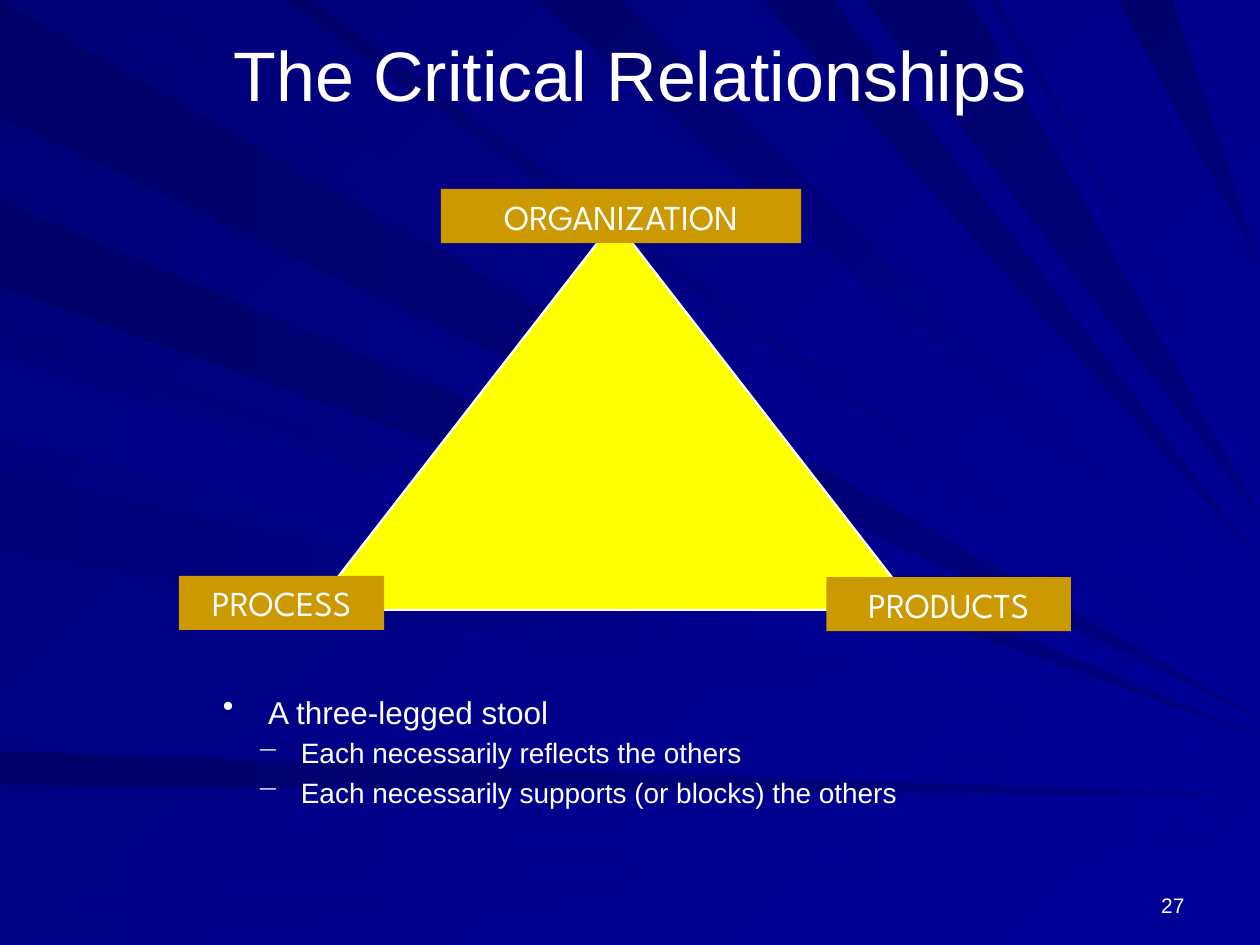
import pptx
import pptx.dml.color
import pptx.enum.shapes
import pptx.enum.text
import pptx.oxml
import pptx.util
from pptx.dml.color import RGBColor
from pptx.util import Inches

WHITE = RGBColor.from_string("FFFFFF")
YELLOW = RGBColor.from_string("FFFF00")
GOLD = RGBColor.from_string("CC9900")
BLUE = RGBColor.from_string("000099")
NAVY = RGBColor.from_string("000080")
DEEP = RGBColor.from_string("000078")
DARK = RGBColor.from_string("00006B")
SOFT = RGBColor.from_string("000085")

ALIGN = pptx.enum.text.PP_ALIGN
ANCHOR = pptx.enum.text.MSO_ANCHOR
SHAPE = pptx.enum.shapes.MSO_SHAPE

# Start and end on the edge, height of the tip on the right side, colours
LEFT_RAYS = [
    (0, 0.93, 5.7, DARK, NAVY),
    (5.96, 6.23, 6.31, DARK, NAVY),
    (6.65, 7.04, 6.47, SOFT, BLUE),
    (7.35, 7.5, 6.62, SOFT, BLUE),
    (2.58, 2.7, 5.89, DEEP, BLUE),
    (1.59, 2.28, 5.85, DARK, NAVY),
    (3.74, 4.37, 6.05, DEEP, BLUE),
    (5.52, 5.6, 6.22, SOFT, BLUE),
    (2.83, 3.47, 6.03, SOFT, BLUE),
]
TOP_RAYS = [
    (0.26, 1.01, 5.63, DEEP, BLUE),
    (4.26, 4.92, 4.93, DARK, BLUE),
    (6.06, 6.61, 4.46, DARK, NAVY),
    (8.87, 9.3, 2.1, DARK, NAVY),
    (2.25, 2.47, 5.5, DARK, BLUE),
    (6.86, 7.7, 4.1, DARK, NAVY),
    (7.85, 7.92, 3.57, DEEP, BLUE),
]


def set_fill(fill, start, end, angle):
    """Fill with a gradient at a counter-clockwise angle."""
    fill.gradient()
    fill.gradient_angle = angle
    for stop, color in zip(fill.gradient_stops, (start, end)):
        stop.color.rgb = color


def add_ray(slide, corners, start, end, angle):
    """Draw one ray through corners given in inches."""
    points = [(Inches(x), Inches(y)) for x, y in corners]
    builder = slide.shapes.build_freeform(*points[0])
    builder.add_line_segments(points[1:], close=True)
    ray = builder.convert_to_shape()
    ray.shadow.inherit = False
    ray.line.fill.background()
    set_fill(ray.fill, start, end, angle)


def add_background(slide):
    """Draw the blue backdrop with rays meeting at the right side."""
    set_fill(slide.background.fill, DEEP, BLUE, 315)
    for first, last, tip, start, end in LEFT_RAYS:
        add_ray(slide, [(0, first), (0, last), (10, tip)], start, end, 0)
    for first, last, tip, start, end in TOP_RAYS:
        add_ray(slide, [(first, 0), (last, 0), (10, tip)], start, end, 315)


def style_paragraph(paragraph, text, size, font="Arial", alignment=ALIGN.LEFT):
    """Write white text into a paragraph."""
    paragraph.text = text
    paragraph.alignment = alignment
    paragraph.font.size = pptx.util.Pt(size)
    paragraph.font.name = font
    paragraph.font.color.rgb = WHITE


def add_text(slide, box, text, size, alignment, anchor):
    """Place a single line of text in a box."""
    frame = slide.shapes.add_textbox(*box).text_frame
    frame.word_wrap = True
    frame.vertical_anchor = anchor
    style_paragraph(frame.paragraphs[0], text, size, alignment=alignment)


def add_block(slide, kind, box, color):
    """Add a flat preset shape without an outline."""
    shape = slide.shapes.add_shape(kind, *box)
    shape.shadow.inherit = False
    shape.fill.solid()
    shape.fill.fore_color.rgb = color
    shape.line.fill.background()
    return shape


def add_triangle_diagram(slide, left, top):
    """Draw the triangle with a label on each corner."""
    triangle = add_block(
        slide, SHAPE.ISOSCELES_TRIANGLE,
        (left + Inches(1.06), top + Inches(0.25), Inches(4.8), Inches(3.09)), YELLOW)
    triangle.line.color.rgb = WHITE
    triangle.line.width = pptx.util.Pt(1.25)
    for text, x, y, width in (("PRODUCTS", 5.14, 3.08, 1.94),
                              ("PROCESS", 0, 3.07, 1.63),
                              ("ORGANIZATION", 2.08, 0, 2.86)):
        box = (left + Inches(x), top + Inches(y), Inches(width), Inches(0.43))
        label = add_block(slide, SHAPE.RECTANGLE, box, GOLD)
        label.text_frame.vertical_anchor = ANCHOR.MIDDLE
        style_paragraph(label.text_frame.paragraphs[0], text, 20,
                        "League Spartan", ALIGN.CENTER)


def set_bullet(paragraph, character, margin, hanging):
    """Give a paragraph a bullet and a hanging indent."""
    properties = paragraph._p.get_or_add_pPr()
    properties.set("marL", str(Inches(margin)))
    properties.set("indent", str(-Inches(hanging)))
    namespace = 'xmlns:a="http://schemas.openxmlformats.org/drawingml/2006/main"'
    bullet = pptx.oxml.parse_xml(f'<a:buChar {namespace} char="{character}"/>')
    properties.insert_element_before(bullet, "a:tabLst", "a:defRPr", "a:extLst")


def add_bullets(slide, box):
    """Write the main point and its two sub-points."""
    frame = slide.shapes.add_textbox(*box).text_frame
    frame.word_wrap = True
    for index, text in enumerate((
            "A three-legged stool",
            "Each necessarily reflects the others",
            "Each necessarily supports (or blocks) the others")):
        paragraph = frame.add_paragraph() if index else frame.paragraphs[0]
        style_paragraph(paragraph, text, 16 if index else 18)
        paragraph.line_spacing = 0.7
        paragraph.space_before = pptx.util.Pt(9)
        if index:
            paragraph.level = 1
            set_bullet(paragraph, "\u2212", 0.62, 0.35)
        else:
            set_bullet(paragraph, "\u2022", 0.36, 0.36)


def main():
    """Build and save the slide."""
    presentation = pptx.Presentation()
    presentation.slide_width = Inches(10)
    presentation.slide_height = Inches(7.5)
    slide = presentation.slides.add_slide(presentation.slide_layouts[6])
    add_background(slide)
    add_text(slide, (Inches(0.5), Inches(0.3), Inches(9), Inches(0.57)),
             "The Critical Relationships", 40, ALIGN.CENTER, ANCHOR.MIDDLE)
    add_text(slide, (Inches(7.17), Inches(6.83), Inches(2.33), Inches(0.5)),
             "27", 12, ALIGN.RIGHT, ANCHOR.BOTTOM)
    add_triangle_diagram(slide, Inches(1.42), Inches(1.5))
    add_bullets(slide, (Inches(1.67), Inches(5.53), Inches(7.17), Inches(0.97)))
    presentation.save("out.pptx")


main()
